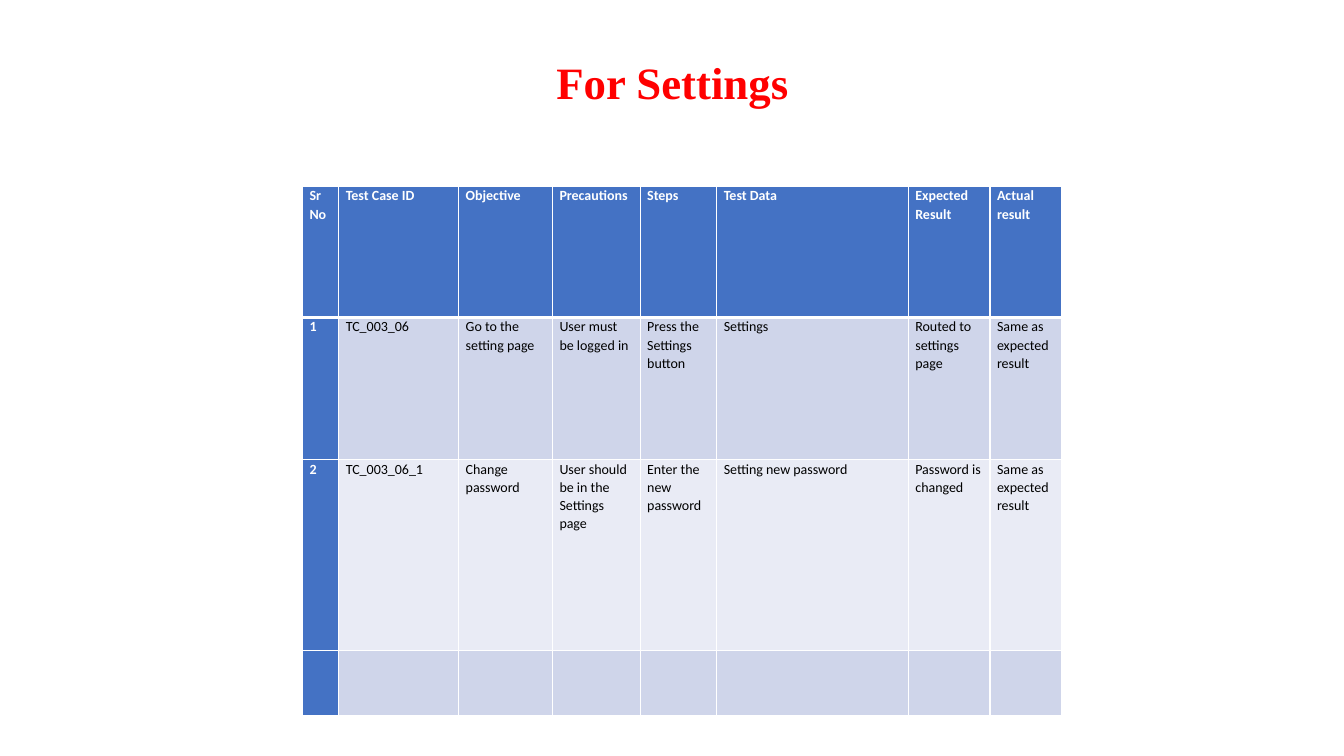
from dataclasses import dataclass

from lxml.etree import SubElement
from pptx import Presentation
from pptx.dml.color import RGBColor as Color
from pptx.enum.text import MSO_ANCHOR as Anchor, PP_ALIGN as Align
from pptx.oxml.ns import qn
from pptx.util import Inches, Pt


@dataclass(frozen=True)
class Theme:
    title_font: str = "Times New Roman"
    table_font: str = "Calibri"
    title_size: int = 32
    table_size: int = 10
    title: str = "FF0000"
    header: str = "4472C4"
    header_text: str = "FFFFFF"
    body_text: str = "000000"
    bands: tuple = ("CFD5EA", "E9EBF5")
    border: str = "FFFFFF"
    border_width: int = 1
    header_border_width: int = 3


# The grid has 100 columns and 100 rows to the inch
def grid(count):
    return Inches(count / 100)


def write_text(frame, text, *, font, size, color, bold=False,
               align=Align.LEFT, spacing=1.0):
    para = frame.paragraphs[0]
    para.alignment = align
    para.line_spacing = spacing
    span = para.add_run()
    span.text = text
    span.font.name = font
    span.font.size = Pt(size)
    span.font.bold = bold
    span.font.color.rgb = Color.from_string(color)


def set_margins(target, left, top, right, bottom):
    target.margin_left, target.margin_top = grid(left), grid(top)
    target.margin_right, target.margin_bottom = grid(right), grid(bottom)


class PageBuilder:
    def __init__(self, page, theme):
        self.page = page
        self.theme = theme

    def title(self, text, left, top, width, height):
        box = self.page.shapes.add_textbox(*map(grid, (left, top, width, height)))
        frame = box.text_frame
        frame.word_wrap = True
        frame.vertical_anchor = Anchor.MIDDLE
        # A deep bottom margin lifts the line above the box's middle
        set_margins(frame, 10, 5, 10, 62)
        write_text(frame, text, font=self.theme.title_font,
                   size=self.theme.title_size, color=self.theme.title,
                   bold=True, align=Align.CENTER, spacing=0.9)

    def table(self, records, left, top, widths, heights):
        holder = self.page.shapes.add_table(
            len(heights), len(widths), grid(left), grid(top),
            grid(sum(widths)), grid(sum(heights)))
        table = holder.table
        for column, width in zip(table.columns, widths):
            column.width = grid(width)
        for row, height in zip(table.rows, heights):
            row.height = grid(height)
        for row_index, record in enumerate(records):
            for column_index, text in enumerate(record):
                self.cell(table.cell(row_index, column_index), text,
                          row_index, column_index)

    def cell(self, cell, text, row_index, column_index):
        theme = self.theme
        heading = row_index == 0 or column_index == 0
        band = theme.bands[(row_index - 1) % len(theme.bands)]
        set_margins(cell, 7, 0, 7, 0)
        self.borders(cell, row_index)
        cell.fill.solid()
        cell.fill.fore_color.rgb = Color.from_string(
            theme.header if heading else band)
        if text:
            write_text(cell.text_frame, text, font=theme.table_font,
                       size=theme.table_size, bold=heading, spacing=1.07,
                       color=theme.header_text if heading else theme.body_text)

    def borders(self, cell, row_index):
        theme = self.theme
        # The header's lower edge is also the first body row's upper edge
        thick_side = {0: "lnB", 1: "lnT"}.get(row_index)
        properties = cell._tc.get_or_add_tcPr()
        for side in ("lnL", "lnR", "lnT", "lnB"):
            width = (theme.header_border_width if side == thick_side
                     else theme.border_width)
            line = SubElement(properties, qn(f"a:{side}"), w=str(Pt(width)))
            fill = SubElement(line, qn("a:solidFill"))
            SubElement(fill, qn("a:srgbClr"), val=theme.border)


TEST_CASES = [
    ("Sr No", "Test Case ID", "Objective", "Precautions", "Steps",
     "Test Data", "Expected Result", "Actual result"),
    ("1", "TC_003_06", "Go to the setting page", "User must be logged in",
     "Press the Settings button", "Settings", "Routed to settings page",
     "Same as expected result"),
    ("2", "TC_003_06_1", "Change password",
     "User should be in the Settings page", "Enter the new password",
     "Setting new password", "Password is changed",
     "Same as expected result"),
    ("",) * 8,
]


def main():
    deck = Presentation()
    deck.slide_width, deck.slide_height = grid(1333), grid(750)
    builder = PageBuilder(deck.slides.add_slide(deck.slide_layouts[6]), Theme())

    # Heading
    builder.title("For Settings", 92, 40, 1150, 145)

    # Test case table
    builder.table(TEST_CASES, 300, 185,
                  widths=(36, 119, 93, 87, 76, 190, 81, 71),
                  heights=(130, 141, 189, 65))

    deck.save("out.pptx")


if __name__ == "__main__":
    main()
